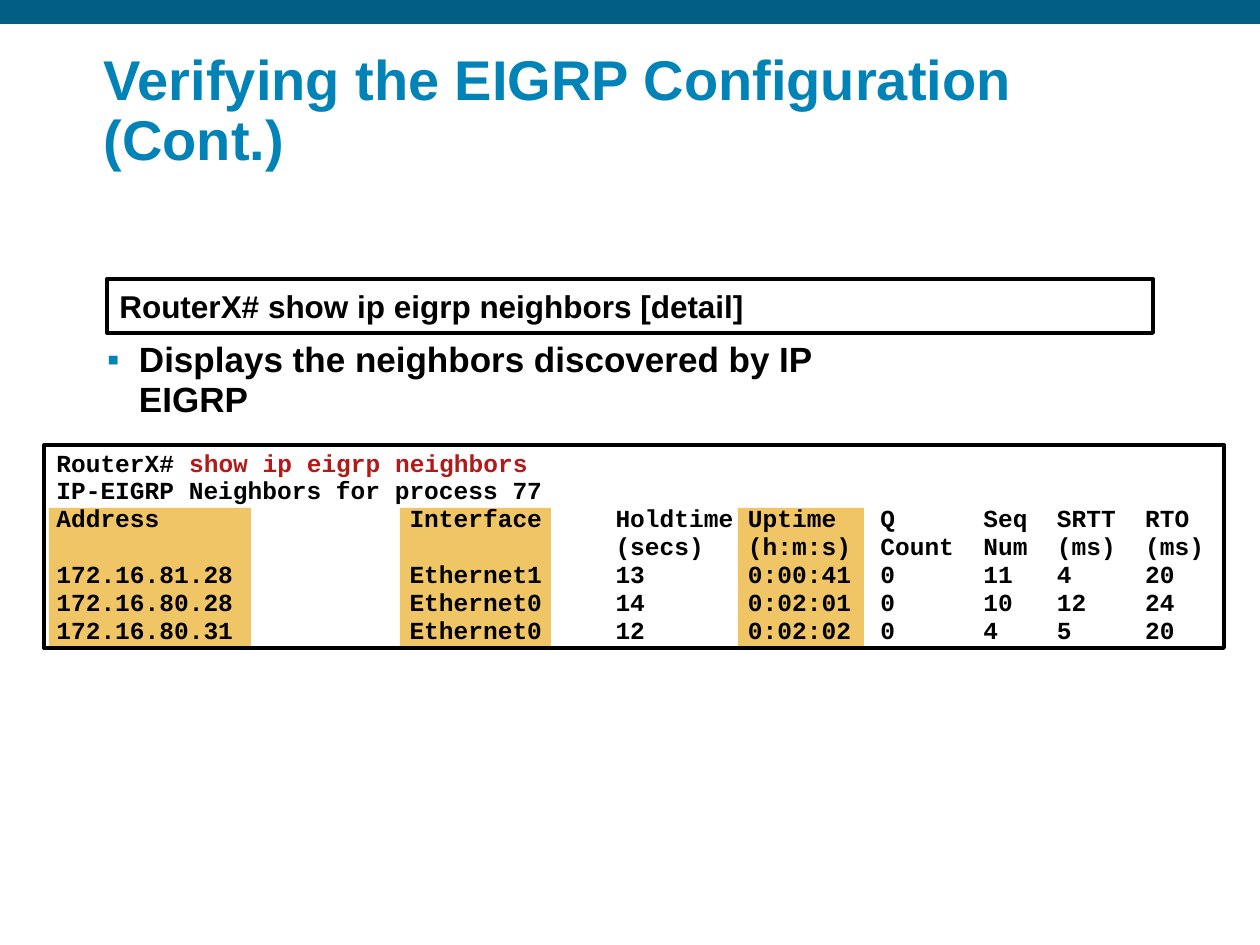
from lxml import etree
from pptx import Presentation, util as u
from pptx.dml.color import RGBColor
from pptx.enum import shapes, text
from pptx.oxml.ns import qn

TEAL = RGBColor(0x01, 0x5F, 0x85)
BLUE = RGBColor(0x01, 0x83, 0xB7)
GOLD = RGBColor(0xF0, 0xC5, 0x66)
RED = RGBColor(0xB2, 0x1A, 0x1A)
BLACK = RGBColor(0, 0, 0)

TITLE = "Verifying the EIGRP Configuration (Cont.)"
USAGE = "RouterX# show ip eigrp neighbors [detail]"
POINT = "Displays the neighbors discovered by IP EIGRP"
PROMPT, COMMAND = "RouterX# ", "show ip eigrp neighbors"
HEADING = "IP-EIGRP Neighbors for process 77"
WIDTHS = (24, 14, 9, 9, 7, 5, 6, 0)
ROWS = [
    ("Address", "Interface", "Holdtime", "Uptime", "Q", "Seq", "SRTT", "RTO"),
    ("", "", "(secs)", "(h:m:s)", "Count", "Num", "(ms)", "(ms)"),
    ("172.16.81.28", "Ethernet1", "13", "0:00:41", "0", "11", "4", "20"),
    ("172.16.80.28", "Ethernet0", "14", "0:02:01", "0", "10", "12", "24"),
    ("172.16.80.31", "Ethernet0", "12", "0:02:02", "0", "4", "5", "20"),
]
BANDS = [(738, 126), (400, 151), (49, 202)]


def px(n):
    return round(n * 914400 / 126)


def place(shape, *box):
    for name, n in zip(("left", "top", "width", "height"), box):
        setattr(shape, name, px(n))


def style(item, form):
    for name, value in form.items():
        setattr(item, name, value)


def write(para, words, size, color=BLACK, face="Arial"):
    run = para.add_run()
    run.text = words
    style(run.font, {"name": face, "size": u.Pt(size), "bold": True})
    run.font.color.rgb = color


def rect(slide, box, fill=None):
    shape = slide.shapes.add_shape(shapes.MSO_SHAPE.RECTANGLE, *map(px, box))
    shape.shadow.inherit = False
    if fill is None:
        shape.fill.background()
        shape.line.color.rgb = BLACK
        shape.line.width = u.Pt(2.25)
    else:
        shape.fill.solid()
        shape.fill.fore_color.rgb = fill
        shape.line.fill.background()
    style(shape.text_frame, {"word_wrap": False,
                             "vertical_anchor": text.MSO_ANCHOR.MIDDLE})
    return shape


def bullet(para, mark, color):
    props = para._p.get_or_add_pPr()
    props.set("marL", str(px(32)))
    props.set("indent", str(px(-32)))
    tint = etree.SubElement(props, qn("a:buClr"))
    etree.SubElement(tint, qn("a:srgbClr"), val=str(color))
    etree.SubElement(props, qn("a:buFont"), typeface="Arial")
    etree.SubElement(props, qn("a:buChar"), char=mark)


def main():
    deck = Presentation()
    style(deck, {"slide_width": px(1260), "slide_height": px(945)})
    slide = deck.slides.add_slide(deck.slide_layouts[1])
    left = {"alignment": text.PP_ALIGN.LEFT, "space_before": u.Pt(0)}

    rect(slide, (0, 0, 1260, 24), TEAL)
    for x, wide in BANDS:
        rect(slide, (x, 508, wide, 139), GOLD)

    frame = rect(slide, (44, 445, 1180, 203)).text_frame
    lines = [HEADING] + ["".join(c.ljust(w) for c, w in zip(row, WIDTHS))
                         for row in ROWS]
    para = frame.paragraphs[0]
    style(para, left)
    write(para, PROMPT, 14, face="Courier New")
    write(para, COMMAND, 14, RED, "Courier New")
    for line in lines:
        para = frame.add_paragraph()
        style(para, {**left, "line_spacing": 0.95})
        write(para, line, 14, face="Courier New")

    usage = rect(slide, (107, 279, 1046, 54))
    para = usage.text_frame.paragraphs[0]
    style(para, {**left, "line_spacing": u.Pt(21.4)})
    write(para, USAGE, 18)

    body = slide.placeholders[1]
    place(body, 107, 341, 774, 80)
    style(body.text_frame, {"word_wrap": True, "margin_left": 0,
                            "margin_right": 0, "margin_top": 0,
                            "margin_bottom": 0,
                            "auto_size": text.MSO_AUTO_SIZE.NONE})
    para = body.text_frame.paragraphs[0]
    style(para, {**left, "line_spacing": 0.95})
    bullet(para, "▪", BLUE)
    write(para, POINT, 20)

    title = slide.shapes.title
    place(title, 91, 63, 1123, 116)
    style(title.text_frame, {"word_wrap": True,
                             "vertical_anchor": text.MSO_ANCHOR.BOTTOM,
                             "auto_size": text.MSO_AUTO_SIZE.NONE})
    para = title.text_frame.paragraphs[0]
    style(para, {**left, "line_spacing": 0.9})
    write(para, TITLE, 32, BLUE)

    deck.save("out.pptx")


if __name__ == "__main__":
    main()
